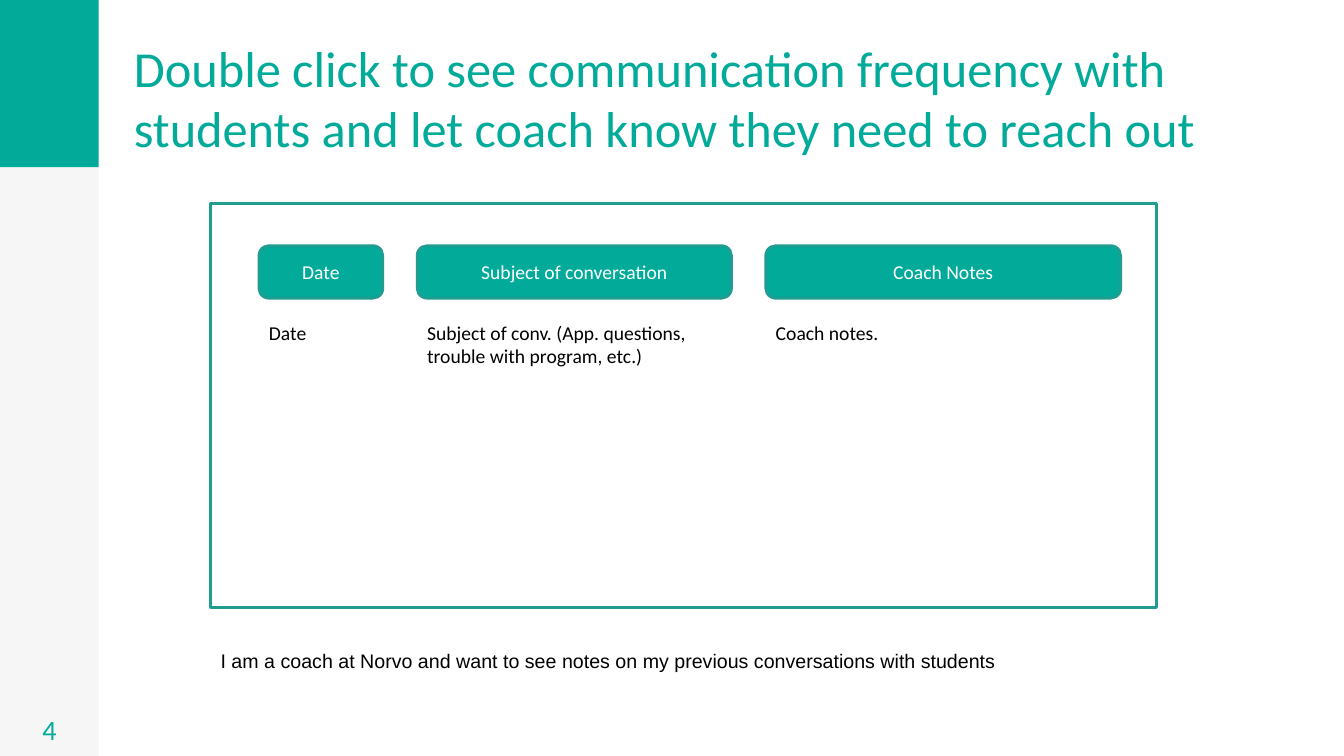
from dataclasses import dataclass

from pptx import Presentation
from pptx.dml import color as c
from pptx.enum import shapes as s, text as t
from pptx.util import Pt


@dataclass(frozen=True)
class Theme:
    teal: str = "02AA9A"
    edge: str = "219C90"
    pale: str = "F6F6F6"
    white: str = "FFFFFF"
    black: str = "000000"
    font: str = "Calibri"
    plain: str = "Arial"
    title: int = 36
    page: int = 20
    body: int = 14


THEME = Theme()
TOP = t.MSO_ANCHOR.TOP
MID = t.MSO_ANCHOR.MIDDLE
LOW = t.MSO_ANCHOR.BOTTOM
LEFT = t.PP_ALIGN.LEFT
CENTER = t.PP_ALIGN.CENTER


def rgb(code):
    return c.RGBColor.from_string(code)


def write(item, words, size, ink, font=THEME.font, align=LEFT, anchor=TOP, inset=3.6):
    frame = item.text_frame
    frame.text = words
    frame.word_wrap = True
    frame.vertical_anchor = anchor
    frame.margin_left = frame.margin_right = Pt(7.2)
    frame.margin_top = frame.margin_bottom = Pt(inset)
    for para in frame.paragraphs:
        para.alignment = align
        for run in para.runs:
            run.font.name = font
            run.font.size = Pt(size)
            run.font.color.rgb = rgb(ink)


def block(slide, box, fill, line=None, kind=s.MSO_SHAPE.RECTANGLE):
    item = slide.shapes.add_shape(kind, *map(Pt, box))
    item.shadow.inherit = False
    item.fill.solid()
    item.fill.fore_color.rgb = rgb(fill)
    if line:
        item.line.color.rgb = rgb(line)
        item.line.width = Pt(2)
    else:
        item.line.fill.background()
    return item


def label(slide, box, words, size, ink, **style):
    item = slide.shapes.add_textbox(*map(Pt, box))
    write(item, words, size, ink, **style)


def header(slide, box, words):
    item = block(slide, box, THEME.teal, THEME.edge, s.MSO_SHAPE.ROUNDED_RECTANGLE)
    item.adjustments[0] = 0.19
    write(item, words, THEME.body, THEME.white, align=CENTER, anchor=MID)


def main():
    deck = Presentation()
    deck.slide_width, deck.slide_height = Pt(960), Pt(540)
    slide = deck.slides.add_slide(deck.slide_layouts[6])

    block(slide, (0, 0, 70.5, 540), THEME.pale)
    block(slide, (0, 0, 70.5, 119.5), THEME.teal)
    label(slide, (88.5, 0.5, 783.5, 119.5),
          "Double click to see communication frequency with students "
          "and let coach know they need to reach out",
          THEME.title, THEME.teal, anchor=LOW, inset=7.2)
    label(slide, (0, 359.5, 70.5, 180.5), "4", THEME.page, THEME.teal,
          align=CENTER, anchor=LOW, inset=7.2)

    block(slide, (150.5, 145.5, 675.5, 288.5), THEME.white, THEME.edge)
    columns = (
        (88.5, "Date", "Date"),
        (224.5, "Subject of conversation",
         "Subject of conv. (App. questions, trouble with program, etc.)"),
        (253.5, "Coach Notes", "Coach notes."),
    )
    left, gap = 185, 24.5
    for width, head, note in columns:
        header(slide, (left, 175.5, width, 37.5), head)
        label(slide, (left, 225.5, width, 41), note, THEME.body, THEME.black)
        left += width + gap

    label(slide, (150.5, 460, 615.5, 24.5),
          "I am a coach at Norvo and want to see notes on my previous "
          "conversations with students",
          THEME.body, THEME.black, font=THEME.plain)
    deck.save("out.pptx")


if __name__ == "__main__":
    main()
